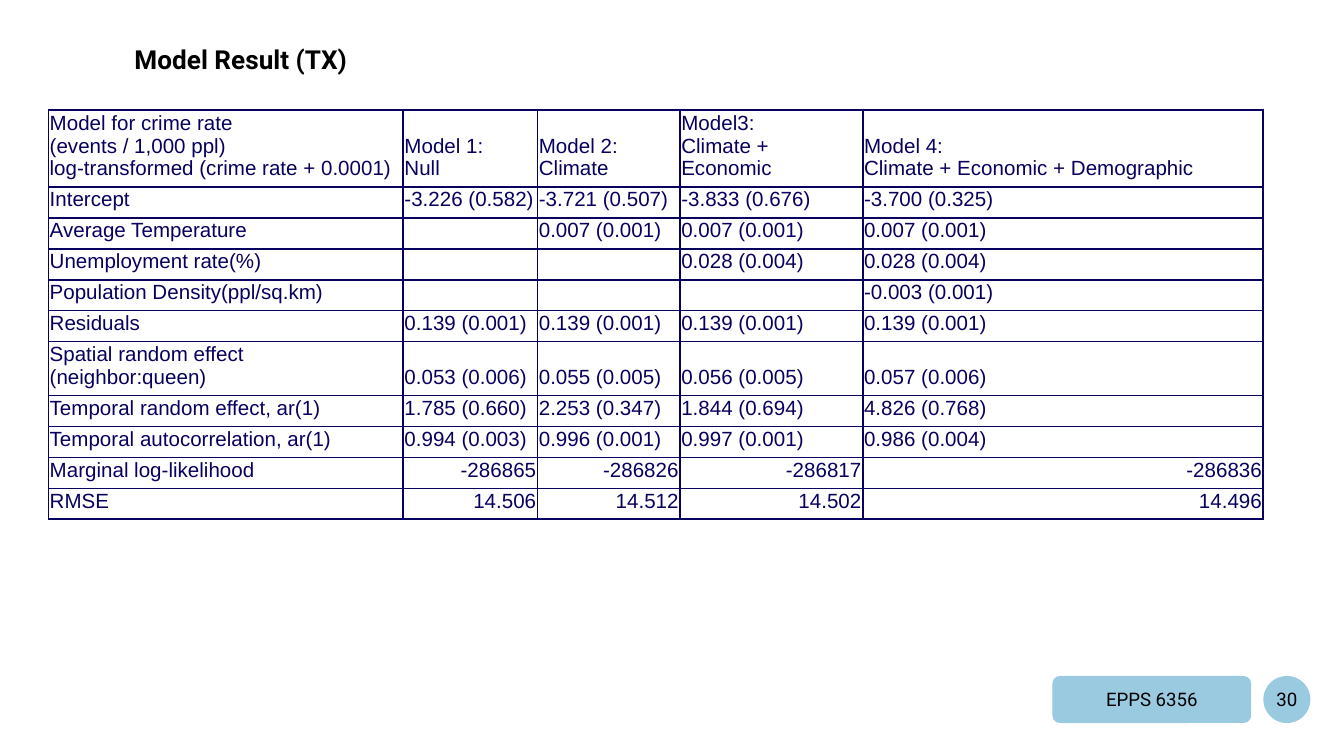
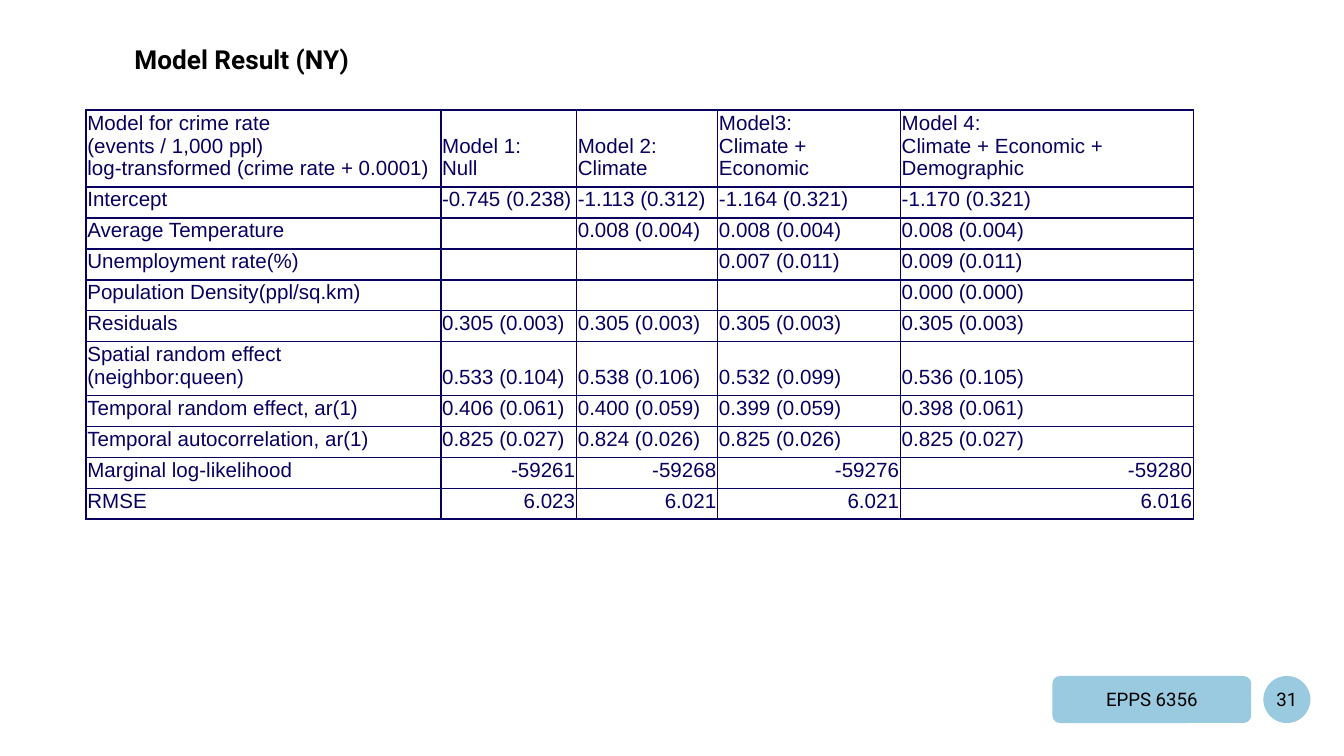
from lxml import etree
from pptx import Presentation
from pptx.dml.color import RGBColor
from pptx.enum.shapes import MSO_SHAPE
from pptx.enum.text import MSO_ANCHOR, MSO_AUTO_SIZE, PP_ALIGN
from pptx.oxml.ns import qn
from pptx.util import Inches, Pt

LEFT, CENTER, RIGHT = PP_ALIGN.LEFT, PP_ALIGN.CENTER, PP_ALIGN.RIGHT
TOP, MIDDLE, BOTTOM = MSO_ANCHOR.TOP, MSO_ANCHOR.MIDDLE, MSO_ANCHOR.BOTTOM
ROUNDED, OVAL = MSO_SHAPE.ROUNDED_RECTANGLE, MSO_SHAPE.OVAL
NO_AUTOFIT = MSO_AUTO_SIZE.NONE
TITLE_ONLY = 5

# Shared look
WHITE, BLACK, SKY, NAVY = "FFFFFF", "000000", "9ACAE0", "08005F"
HEADING_FONT, TABLE_FONT = "Roboto", "Arial"
TABLE_SIZE = 11
TITLE_BOX = (0.9, 0.22, 2.2, 0.6)
COURSE_BOX = (7.83, 5.03, 1.48, 0.35)
NUMBER_BOX = (9.4, 5.03, 0.35, 0.35)
TABLE_TOP = 0.82
HEADER_HEIGHT, ROW_HEIGHT = 0.42, 0.21

# Shared table wording; \v is a line break inside a paragraph
HEADERS = [
    "Model for crime rate \v(events / 1,000 ppl)\vlog-transformed (crime rate + 0.0001)",
    "Model 1:\vNull",
    "Model 2:\vClimate",
    "Model3:\vClimate + Economic",
    "Model 4:\vClimate + Economic + Demographic",
]
ROW_LABELS = [
    "Intercept",
    "Average Temperature",
    "Unemployment rate(%)",
    "Population Density(ppl/sq.km)",
    "Residuals",
    "Spatial random effect (neighbor:queen)",
    "Temporal random effect, ar(1)",
    "Temporal autocorrelation, ar(1)",
    "Marginal log-likelihood",
    "RMSE",
]
FIT_ROWS = ("Marginal log-likelihood", "RMSE")

TX_RESULTS = [
    ["-3.226 (0.582)", "-3.721 (0.507)", "-3.833 (0.676)", "-3.700 (0.325)"],
    ["", "0.007 (0.001)", "0.007 (0.001)", "0.007 (0.001)"],
    ["", "", "0.028 (0.004)", "0.028 (0.004)"],
    ["", "", "", "-0.003 (0.001)"],
    ["0.139 (0.001)"] * 4,
    ["0.053 (0.006)", "0.055 (0.005)", "0.056 (0.005)", "0.057 (0.006)"],
    ["1.785 (0.660)", "2.253 (0.347)", "1.844 (0.694)", "4.826 (0.768)"],
    ["0.994 (0.003)", "0.996 (0.001)", "0.997 (0.001)", "0.986 (0.004)"],
    ["-286865", "-286826", "-286817", "-286836"],
    ["14.506", "14.512", "14.502", "14.496"],
]
NY_RESULTS = [
    ["-0.745 (0.238)", "-1.113 (0.312)", "-1.164 (0.321)", "-1.170 (0.321)"],
    ["", "0.008 (0.004)", "0.008 (0.004)", "0.008 (0.004)"],
    ["", "", "0.007 (0.011)", "0.009 (0.011)"],
    ["", "", "", "0.000 (0.000)"],
    ["0.305 (0.003)"] * 4,
    ["0.533 (0.104)", "0.538 (0.106)", "0.532 (0.099)", "0.536 (0.105)"],
    ["0.406 (0.061)", "0.400 (0.059)", "0.399 (0.059)", "0.398 (0.061)"],
    ["0.825 (0.027)", "0.824 (0.026)", "0.825 (0.026)", "0.825 (0.027)"],
    ["-59261", "-59268", "-59276", "-59280"],
    ["6.023", "6.021", "6.021", "6.016"],
]


def color(hex_string):
    return RGBColor.from_string(hex_string)


def fill_solid(target, hex_string):
    target.fill.solid()
    target.fill.fore_color.rgb = color(hex_string)


def format_runs(paragraph, font_name, size, hex_string, alignment, bold=False):
    paragraph.alignment = alignment
    for run in paragraph.runs:
        run.font.name = font_name
        run.font.size = Pt(size)
        run.font.bold = bold
        run.font.color.rgb = color(hex_string)


def set_margins(target, left, right, top, bottom):
    target.margin_left, target.margin_right = Inches(left), Inches(right)
    target.margin_top, target.margin_bottom = Inches(top), Inches(bottom)


# Title
def add_title(slide, text, box):
    title = slide.shapes.title
    title.left, title.top, title.width, title.height = map(Inches, box)
    fill_solid(title, WHITE)
    frame = title.text_frame
    frame.text = text
    frame.word_wrap = True
    frame.auto_size = NO_AUTOFIT
    frame.vertical_anchor = TOP
    set_margins(frame, 0.1, 0.1, 0.1, 0.1)
    format_runs(frame.paragraphs[0], HEADING_FONT, 14, BLACK, LEFT, bold=True)


# Footer badges
def add_badge(slide, preset, text, box):
    badge = slide.shapes.add_shape(preset, *map(Inches, box))
    badge.shadow.inherit = False
    fill_solid(badge, SKY)
    badge.line.fill.background()
    frame = badge.text_frame
    frame.text = text
    frame.word_wrap = False
    frame.vertical_anchor = MIDDLE
    set_margins(frame, 0, 0, 0, 0)
    format_runs(frame.paragraphs[0], HEADING_FONT, 10, BLACK, CENTER)
    return badge


def add_footer(slide, number):
    course = add_badge(slide, ROUNDED, "EPPS 6356", COURSE_BOX)
    course.adjustments[0] = 0.16
    add_badge(slide, OVAL, str(number), NUMBER_BOX)


# Results table
def add_borders(cell, hex_string, points):
    properties = cell._tc.get_or_add_tcPr()
    for side in ("a:lnL", "a:lnR", "a:lnT", "a:lnB"):
        line = etree.SubElement(properties, qn(side), w=str(Pt(points)))
        solid = etree.SubElement(line, qn("a:solidFill"))
        etree.SubElement(solid, qn("a:srgbClr"), val=hex_string)


def fill_cell(cell, text, alignment):
    add_borders(cell, NAVY, 1)
    cell.fill.background()
    cell.vertical_anchor = BOTTOM
    set_margins(cell, 0.01, 0.01, 0.01, 0.05)
    paragraph = cell.text_frame.paragraphs[0]
    if text:
        paragraph.text = text
        format_runs(paragraph, TABLE_FONT, TABLE_SIZE, NAVY, alignment)
    else:
        # An empty cell needs its own font and size so the row stays low
        end = etree.SubElement(paragraph._p, qn("a:endParaRPr"), sz=str(TABLE_SIZE * 100))
        etree.SubElement(end, qn("a:latin"), typeface=TABLE_FONT)


def add_results_table(slide, left, top, column_widths, results):
    rows = [HEADERS] + [[label] + values for label, values in zip(ROW_LABELS, results)]
    heights = [HEADER_HEIGHT] + [ROW_HEIGHT] * len(results)
    table = slide.shapes.add_table(
        len(rows), len(HEADERS), Inches(left), Inches(top),
        Inches(sum(column_widths)), Inches(sum(heights))).table
    table.first_row = table.horz_banding = False
    for column, width in zip(table.columns, column_widths):
        column.width = Inches(width)
    for row, height, texts in zip(table.rows, heights, rows):
        row.height = Inches(height)
        for index, (cell, text) in enumerate(zip(row.cells, texts)):
            is_fit_value = index > 0 and texts[0] in FIT_ROWS
            fill_cell(cell, text, RIGHT if is_fit_value else LEFT)


def add_result_slide(presentation, state, number, left, column_widths, results):
    slide = presentation.slides.add_slide(presentation.slide_layouts[TITLE_ONLY])
    fill_solid(slide.background, WHITE)
    add_footer(slide, number)
    add_title(slide, f"Model Result ({state})", TITLE_BOX)
    add_results_table(slide, left, TABLE_TOP, column_widths, results)


def main():
    presentation = Presentation()
    # Widescreen, 16:9
    presentation.slide_width = Inches(10)
    presentation.slide_height = Inches(10) * 9 // 16
    add_result_slide(presentation, "TX", 30, 0.36, [2.64, 1, 1.06, 1.36, 2.98], TX_RESULTS)
    add_result_slide(presentation, "NY", 31, 0.64, [2.64, 1.01, 1.05, 1.36, 2.18], NY_RESULTS)
    presentation.save("out.pptx")


if __name__ == "__main__":
    main()
